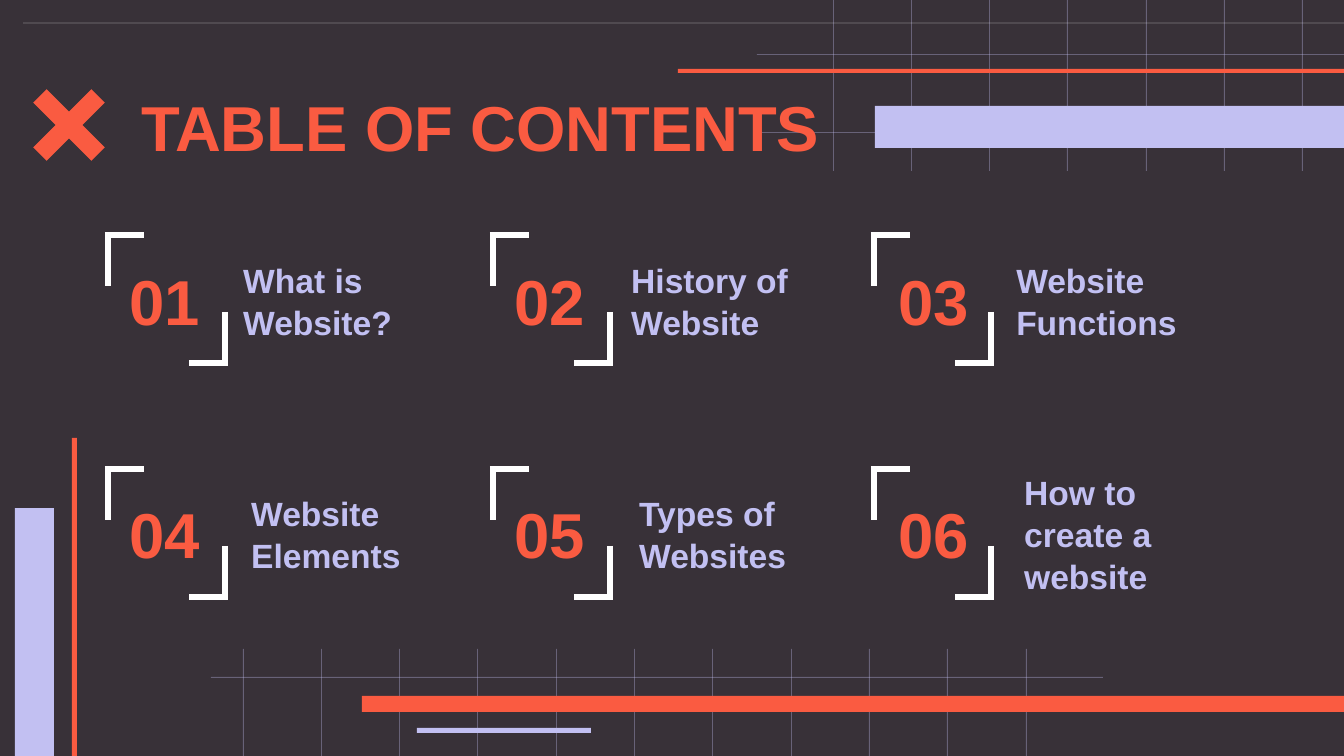
"""Build a dark table of contents slide with six numbered topics."""
from lxml.etree import SubElement
from pptx import Presentation
from pptx.dml.color import RGBColor
from pptx.enum.shapes import MSO_CONNECTOR, MSO_SHAPE
from pptx.enum.text import MSO_ANCHOR, PP_ALIGN
from pptx.oxml.ns import qn
from pptx.util import Pt

W, H = 1344, 756
PX = 9144000 / W
COLORS = {k: RGBColor.from_string(v) for k, v in {
    "dark": "383138", "coral": "FA5B41", "lilac": "C2C0F2", "white": "FFFFFF"}.items()}


def add_shape(kind, box, color, alpha=None):
    sp = s.shapes.add_shape(kind, *[round(v * PX) for v in box])
    sp.shadow.inherit = False
    sp.line.fill.background()
    sp.fill.solid()
    sp.fill.fore_color.rgb = COLORS[color]
    if alpha:
        clr = sp._element.spPr.find(qn("a:solidFill"))[0]
        SubElement(clr, qn("a:alpha"), val=str(alpha * 1000))
    return sp


def add_text(text, box, size, color, align=PP_ALIGN.LEFT, spacing=1.0):
    tf = s.shapes.add_textbox(*[round(v * PX) for v in box]).text_frame
    tf.word_wrap = True
    tf.vertical_anchor = MSO_ANCHOR.MIDDLE
    tf.margin_left = tf.margin_right = tf.margin_top = tf.margin_bottom = Pt(7.2)
    p = tf.paragraphs[0]
    p.text = text
    p.alignment = align
    p.line_spacing = spacing
    p.font.name = "Arial"
    p.font.size = Pt(size)
    p.font.bold = True
    p.font.color.rgb = COLORS[color]


prs = Presentation()
prs.slide_width, prs.slide_height = round(W * PX), round(H * PX)
s = prs.slides.add_slide(prs.slide_layouts[6])
s.background.fill.solid()
s.background.fill.fore_color.rgb = COLORS["dark"]

cross = add_shape(MSO_SHAPE.MATH_MULTIPLY, (13, 69, 112, 112), "coral")
cross.adjustments[0] = 0.17

grid = [(833 + i * 783 // 10, 0, 1, 171) for i in range(7)]
grid += [(243 + i * 783 // 10, 649, 1, H - 649) for i in range(11)]
grid += [(757, 54, W - 757, 1), (757, 132, W - 757, 1), (211, 677, 892, 1)]
for box in grid:
    add_shape(MSO_SHAPE.RECTANGLE, box, "lilac", 35)

bars = [
    ((362, 696, W - 362, 16), "coral"),
    ((15, 508, 39, H - 508), "lilac"),
    ((72, 438, 5, H - 438), "coral"),
    ((417, 728, 174, 5), "lilac"),
    ((875, 106, W - 875, 42), "lilac"),
    ((678, 69, W - 678, 4), "coral"),
    ((23, 23, W - 23, 0), "white"),
]
for box, color in bars:
    add_shape(MSO_SHAPE.RECTANGLE, box, color)

add_text("TABLE OF CONTENTS", (128, 80, 1086, 92), 34, "coral")

topics = ["What is Website?", "History of Website", "Website Functions",
          "Website Elements", "Types of Websites", "How to create a website"]
number_x, label_x, bracket_x = (106, 491, 875), (230, 618, 1003), (108, 493, 874)
bracket = [(0, 51, 0, 0), (-3, 0, 36, 0), (117, 77, 117, 128), (120, 128, 81, 128)]
for i, topic in enumerate(topics):
    row, col = divmod(i, 3)
    y = 271 + 233 * row
    add_text(topic, (label_x[col] + 8 * row, y, 237, 58), 18, "lilac", spacing=1.04)
    add_text(f"{i + 1:02}", (number_x[col], y, 118, 58), 34, "coral", PP_ALIGN.CENTER)
    x, y = bracket_x[col], 235 + 234 * row
    for x1, y1, x2, y2 in bracket:
        ends = [round(v * PX) for v in (x + x1, y + y1, x + x2, y + y2)]
        line = s.shapes.add_connector(MSO_CONNECTOR.STRAIGHT, *ends)
        line.line.color.rgb = COLORS["white"]
        line.line.width = Pt(3)
        SubElement(line._element.spPr, qn("a:effectLst"))

prs.save("out.pptx")
